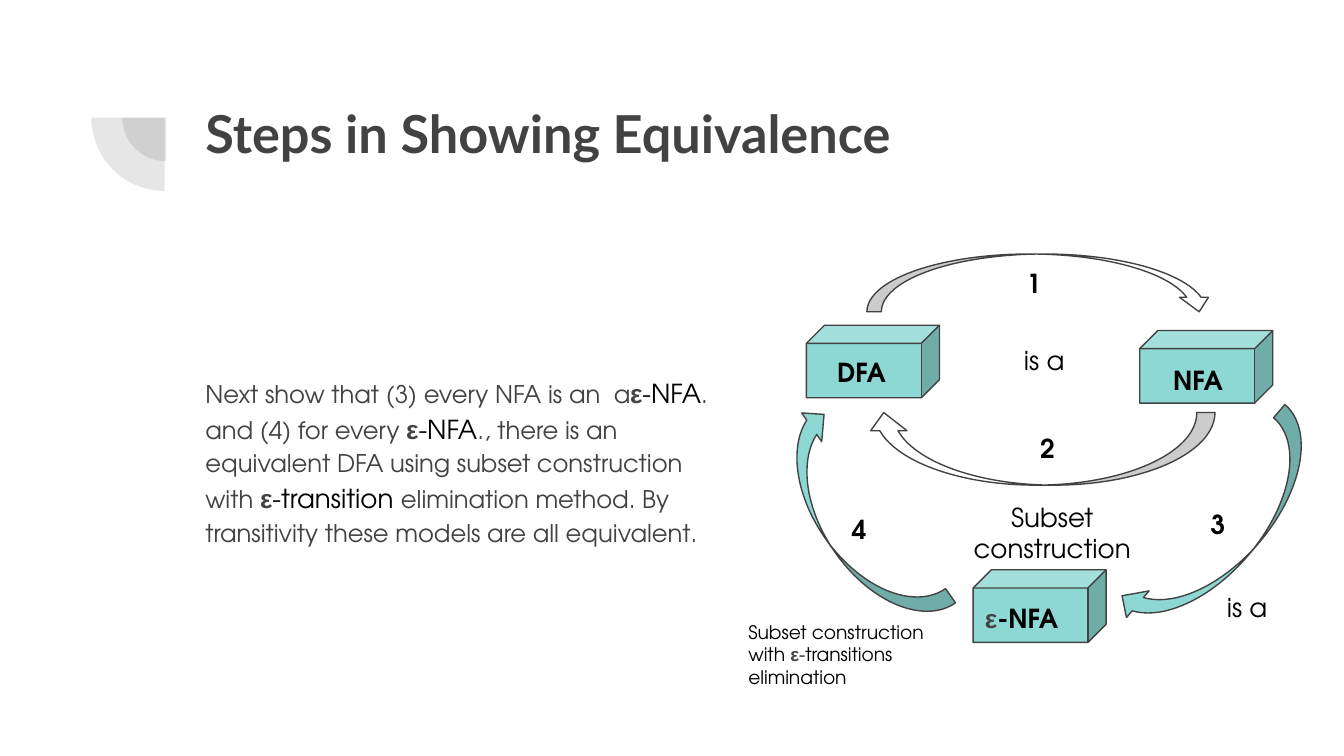
from lxml import etree
from pptx import Presentation
from pptx.dml.color import RGBColor
from pptx.enum.shapes import MSO_SHAPE
from pptx.enum.text import PP_ALIGN
from pptx.oxml.ns import qn
from pptx.util import Pt

PX = 9144  # EMU per px, 100 px to the inch
PIE, CUBE = MSO_SHAPE.PIE, MSO_SHAPE.CUBE
DOWN_ARROW = MSO_SHAPE.CURVED_DOWN_ARROW
LEFT_ARROW = MSO_SHAPE.CURVED_LEFT_ARROW
LEFT, CENTER = PP_ALIGN.LEFT, PP_ALIGN.CENTER

COLORS = {
    "ink": "424242",
    "epsilon": "434343",
    "black": "000000",
    "white": "FFFFFF",
    "teal": "8DD8D3",
}
HEAD_FONT, BODY_FONT, GREEK_FONT = "Lato", "TeX Gyre Adventor", "Arial"


def rgb(name):
    return RGBColor.from_string(COLORS[name])


def emu(*lengths):
    return [length * PX for length in lengths]


def run(text, size=14, color="black", bold=False, font=BODY_FONT, highlight=None):
    return text, size, color, bold, font, highlight


def epsilon(size=14, highlight="white"):
    return run("ε", size, "epsilon", True, GREEK_FONT, highlight)


def add_text(slide, box, runs, align=LEFT, spaced=False):
    frame = slide.shapes.add_textbox(*emu(*box)).text_frame
    frame.word_wrap = True
    frame.margin_left = frame.margin_right = 10 * PX
    frame.margin_top = frame.margin_bottom = 10 * PX
    paragraph = frame.paragraphs[0]
    paragraph.alignment = align
    if spaced:
        paragraph.line_spacing = 1.15
        paragraph.space_after = Pt(16)
    for text, size, color, bold, font, highlight in runs:
        part = paragraph.add_run()
        part.text = text
        part.font.size = Pt(size)
        part.font.bold = bold
        part.font.color.rgb = rgb(color)
        if highlight:
            # The highlight has to stand between the fill and the typeface
            mark = etree.SubElement(part.font._element, qn("a:highlight"))
            etree.SubElement(mark, qn("a:srgbClr"), val=COLORS[highlight])
        part.font.name = font


def add_figure(slide, kind, box, fill, rotation=0):
    figure = slide.shapes.add_shape(kind, *emu(*box))
    figure.shadow.inherit = False
    figure.rotation = rotation
    figure.fill.solid()
    figure.fill.fore_color.rgb = rgb(fill)
    figure.line.color.rgb = rgb("ink")
    figure.line.width = Pt(0.75)
    return figure


def add_ornament(slide, left, top):
    """Two translucent quarter discs, one inside the other."""
    for dx, dy, size in ((23, 22, 65), (0, 0, 109)):
        quarter = add_figure(slide, PIE, (left + dx, top + dy, size, size), "ink", 270)
        quarter.adjustments[0] = 108
        quarter.adjustments[1] = 162
        quarter.line.fill.background()
        fill_color = quarter.fill._xPr.find(qn("a:solidFill"))[0]
        etree.SubElement(fill_color, qn("a:alpha"), val="13000")


def add_title(slide, left, top):
    title = run("Steps in Showing Equivalence", 28, "ink", True, HEAD_FONT)
    add_text(slide, (left, top, 769, 109), [title])


def add_explanation(slide, left, top):
    def plain(text):
        return run(text, 13, "ink")

    add_text(slide, (left, top, 398, 254), [
        plain("Next show that (3) every NFA is an  a"),
        epsilon(), run("-NFA"),
        plain(". and (4) for every "),
        epsilon(), run("-NFA"),
        plain("., there is an equivalent DFA using subset construction with "),
        epsilon(), run("-transition "),
        plain("elimination method. By transitivity these models are all equivalent."),
    ], spaced=True)


def add_cycle(slide, left, top):
    """The three automata, the arrows between them and their labels."""
    def place(x, y, width, height):
        return left + x, top + y, width, height

    # Automata
    for x, y in ((53, 53), (301, 57), (177, 235)):
        add_figure(slide, CUBE, place(x, y, 99, 54), "teal")

    # Conversion arrows, steps 1 to 4
    for kind, box, fill, rotation in (
        (DOWN_ARROW, (98, 0, 258, 43), "white", 0),
        (DOWN_ARROW, (97, 118, 260, 54), "white", 180),
        (LEFT_ARROW, (338, 105, 52, 200), "teal", 40.4),
        (LEFT_ARROW, (64, 107, 52, 184), "teal", 145.1),
    ):
        add_figure(slide, kind, place(*box), fill, rotation)

    # Step numbers
    for number, x, y in (("1", 207, 0), ("2", 217, 123), ("4", 77, 183), ("3", 344, 179)):
        add_text(slide, place(x, y, 51, 43), [run(number, bold=True)])

    # Automaton names and "is a" relations
    for label, x, y, bold in (
        ("is a", 205, 57, False),
        ("DFA", 66, 66, True),
        ("NFA", 316, 72, True),
        ("is a", 356, 241, False),
    ):
        add_text(slide, place(x, y, 91, 43), [run(label, bold=bold)])
    add_text(slide, place(176, 246, 91, 43),
             [epsilon(highlight="teal"), run("-NFA", bold=True)], spaced=True)

    # Methods
    add_text(slide, place(146, 174, 180, 43), [run("Subset construction")], CENTER)
    add_text(slide, place(0, 263, 180, 43), [
        run("Subset construction with ", 10),
        epsilon(10),
        run("-transitions elimination", 10),
    ])


def main():
    deck = Presentation()
    deck.slide_width = 1000 * PX
    deck.slide_height = deck.slide_width * 9 // 16
    slide = deck.slides.add_slide(deck.slide_layouts[6])
    add_ornament(slide, 68, 33)
    add_title(slide, 143, 65)
    add_explanation(slide, 143, 267)
    add_cycle(slide, 547, 189)
    deck.save("out.pptx")


if __name__ == "__main__":
    main()
